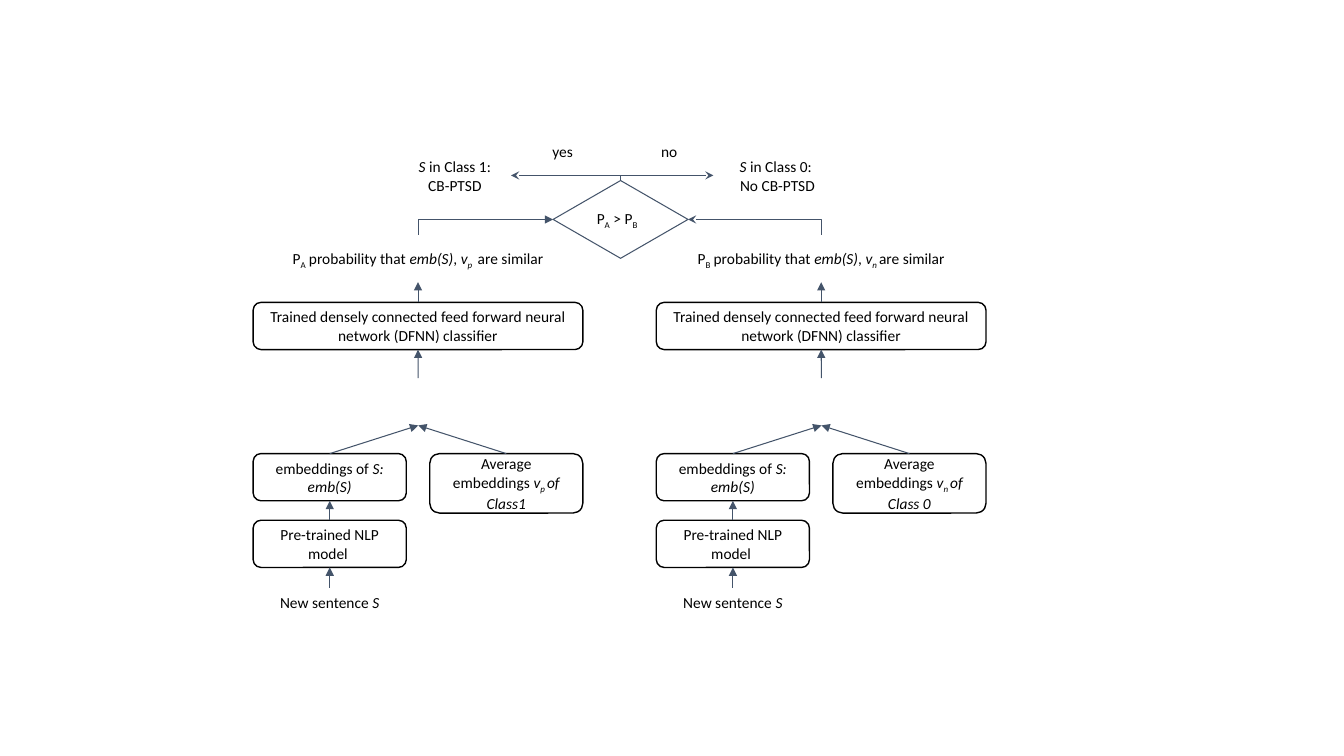
from lxml import etree
from pptx import Presentation
from pptx.dml.color import RGBColor
from pptx.enum.shapes import MSO_CONNECTOR as Link, MSO_SHAPE as Shape
from pptx.enum.text import MSO_ANCHOR as Anchor, PP_ALIGN as Align
from pptx.oxml.ns import qn
from pptx.util import Cm, Pt

BLACK = RGBColor(0x00, 0x00, 0x00)
WHITE = RGBColor(0xFF, 0xFF, 0xFF)
SLATE = RGBColor(0x44, 0x54, 0x6A)

deck = Presentation()
deck.slide_width, deck.slide_height = Cm(33.87), Cm(19.05)
page = deck.slides.add_slide(deck.slide_layouts[6])


def write(box, paragraphs, align=Align.CENTER):
    frame = box.text_frame
    frame.word_wrap = True
    for index, runs in enumerate(paragraphs):
        para = frame.add_paragraph() if index else frame.paragraphs[0]
        para.alignment = align
        para.font.name, para.font.size = "Calibri", Pt(11)
        para.font.color.rgb = BLACK
        for text, style in runs:
            span = para.add_run()
            span.text = text
            if "italic" in style:
                span.font.italic = True
            if "sub" in style:
                span._r.get_or_add_rPr().set("baseline", "-25000")
            if "wide" in style:
                span.font.name, span.font.size = "Arial", Pt(14)


def finish_arrow(arrow, head="triangle"):
    arrow.line.color.rgb = SLATE
    arrow.line.width = Pt(0.75)
    line = arrow.line._get_or_add_ln()
    etree.SubElement(line, qn("a:tailEnd"), type=head)
    etree.SubElement(arrow._element.spPr, qn("a:effectLst"))


new_sentence = [[("New sentence ", ""), ("S", "italic")]]
sentence_embedding = [[("embeddings of ", ""), ("S: emb(S)", "italic")]]
model = [[("Pre-trained NLP model ", "")]]
classifier = [[("Trained densely connected feed forward neural network (DFNN) classifier", "")]]
average_1 = [[("Average", "")],
             [("embeddings ", ""), ("v", "italic"), ("p ", "italic sub"), ("of Class1", "italic")]]
average_0 = [[("Average embeddings ", ""), ("v", "italic"), ("n ", "italic sub"),
              ("of Class 0", "italic")]]

branches = [
    (6.38, average_1, "A", "p ", " are similar"),
    (16.54, average_0, "B", "n ", "are similar"),
]
for left, average, letter, index, ending in branches:
    probability = [[
        ("P", ""), (letter, "sub"), (" ", "italic sub wide"), ("probability that ", ""),
        ("emb(S)", "italic"), (", ", ""), ("v", "italic"), (index, "italic sub"), (ending, ""),
    ]]
    boxes = {}
    for name, shift, top, width, height, edge, text in [
        ("embedding", 0, 11.43, 3.86, 1.19, BLACK, sentence_embedding),
        ("average", 4.45, 11.43, 3.86, 1.5, BLACK, average),
        ("classifier", 0, 7.62, 8.31, 1.19, BLACK, classifier),
        ("probability", 0, 5.92, 8.31, 1.19, WHITE, probability),
        ("model", 0, 13.11, 3.86, 1.19, BLACK, model),
        ("sentence", 0, 14.81, 3.86, 0.76, WHITE, new_sentence),
    ]:
        box = page.shapes.add_shape(
            Shape.ROUNDED_RECTANGLE, Cm(left + shift), Cm(top), Cm(width), Cm(height))
        box.shadow.inherit = False
        box.fill.solid()
        box.fill.fore_color.rgb = WHITE
        box.line.color.rgb = edge
        box.line.width = Pt(1)
        box.text_frame.vertical_anchor = Anchor.MIDDLE
        write(box, text)
        boxes[name] = box

    middle = Cm(left + 4.16)
    for start, end, y in [
        ("sentence", "model", None),
        ("model", "embedding", None),
        ("embedding", None, 10.72),
        ("average", None, 10.72),
        (None, "classifier", 9.53),
        ("classifier", "probability", None),
    ]:
        free_y = Cm(y or 0)
        arrow = page.shapes.add_connector(Link.STRAIGHT, middle, free_y, middle, free_y)
        if start:
            arrow.begin_connect(boxes[start], 0)
        if end:
            arrow.end_connect(boxes[end], 2)
        finish_arrow(arrow)

decision = page.shapes.add_shape(Shape.DIAMOND, Cm(13.94), Cm(4.55), Cm(3.4), Cm(1.96))
decision.shadow.inherit = False
decision.fill.solid()
decision.fill.fore_color.rgb = WHITE
decision.line.color.rgb = SLATE
decision.line.width = Pt(0.75)
decision.text_frame.vertical_anchor = Anchor.MIDDLE
write(decision, [[("P", ""), ("A", "sub"), (" > P", ""), ("B", "sub")]], Align.LEFT)

for x1, y1, x2, y2, head in [
    (10.54, 5.92, 13.94, 5.53, "triangle"),
    (20.7, 5.92, 17.34, 5.53, "stealth"),
    (15.64, 4.55, 12.88, 4.42, "stealth"),
    (15.64, 4.55, 17.98, 4.42, "stealth"),
]:
    center_x, center_y = (x1 + x2) / 2, (y1 + y2) / 2
    half_width = (y1 - y2) / 2 if x2 > x1 else (y2 - y1) / 2
    half_height = abs(x2 - x1) / 2
    elbow = page.shapes.add_connector(
        Link.ELBOW, Cm(center_x - half_width), Cm(center_y - half_height),
        Cm(center_x + half_width), Cm(center_y + half_height))
    properties = elbow._element.spPr
    properties.find(qn("a:xfrm")).set("rot", "16200000" if x2 > x1 else "5400000")
    properties.find(qn("a:prstGeom")).set("prst", "bentConnector2")
    finish_arrow(elbow, head)

for left, top, width, height, align, text in [
    (10.08, 3.71, 2.77, 1.45, Align.CENTER, [[("S", "italic"), (" in Class 1: CB-PTSD", "")]]),
    (17.98, 3.71, 3.23, 1.45, Align.CENTER,
     [[("S", "italic"), (" in Class 0: ", "")], [("No CB-PTSD", "")]]),
    (13.67, 3.35, 1.5, 0.99, Align.LEFT, [[("yes", "")]]),
    (16.41, 3.35, 1.5, 0.99, Align.LEFT, [[("no", "")]]),
]:
    label = page.shapes.add_textbox(Cm(left), Cm(top), Cm(width), Cm(height))
    label.text_frame.margin_top = label.text_frame.margin_bottom = Cm(0.25)
    write(label, text, align)

deck.save("out.pptx")
